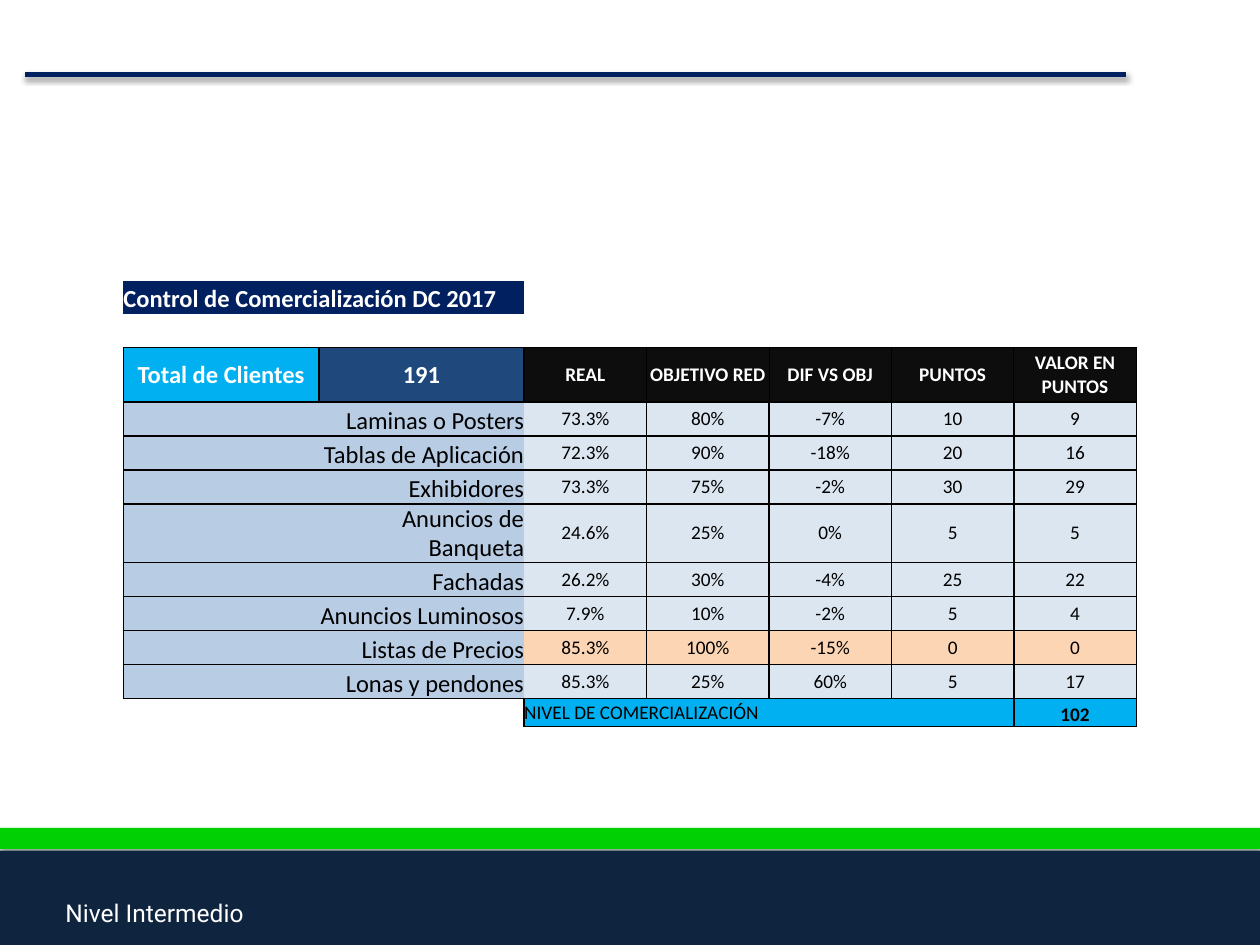
"""Build the commercialisation control slide."""
import dataclasses
import typing

import lxml.etree
import pptx
import pptx.dml.color
import pptx.enum.shapes
import pptx.enum.text
import pptx.oxml.ns
import pptx.util

ALIGN = pptx.enum.text.PP_ALIGN
ANCHOR = pptx.enum.text.MSO_ANCHOR
NO_STYLE = "{2D5ABB26-0587-4C30-8999-92F81FD0307C}"
GRID_COLUMNS, GRID_ROWS = 100, 75


@dataclasses.dataclass(frozen=True)
class Theme:
    """Colours, fonts and type sizes."""
    white: str = "FFFFFF"
    black: str = "000000"
    green: str = "01D004"
    footer: str = "0F243E"
    navy: str = "002060"
    cyan: str = "00B0F0"
    blue: str = "1F497D"
    heading: str = "0D0D0D"
    label: str = "B8CCE4"
    value: str = "DCE6F1"
    highlight: str = "FCD5B4"
    table_font: str = "Calibri"
    footer_font: str = "Roboto"
    large: int = 14
    small: int = 11


THEME = Theme()


@dataclasses.dataclass(frozen=True)
class Measure:
    """One commercialisation measure and its figures."""
    name: str
    figures: tuple[str, ...]
    fill: str = THEME.value


HEADINGS = ("REAL", "OBJETIVO RED", "DIF VS OBJ", "PUNTOS", "VALOR EN PUNTOS")
MEASURES = (
    Measure("Laminas o Posters", ("73.3%", "80%", "-7%", "10", "9")),
    Measure("Tablas de Aplicación", ("72.3%", "90%", "-18%", "20", "16")),
    Measure("Exhibidores", ("73.3%", "75%", "-2%", "30", "29")),
    Measure("Anuncios de Banqueta", ("24.6%", "25%", "0%", "5", "5")),
    Measure("Fachadas", ("26.2%", "30%", "-4%", "25", "22")),
    Measure("Anuncios Luminosos", ("7.9%", "10%", "-2%", "5", "4")),
    Measure("Listas de Precios", ("85.3%", "100%", "-15%", "0", "0"), THEME.highlight),
    Measure("Lonas y pendones", ("85.3%", "25%", "60%", "5", "17")),
)
COLUMN_WIDTHS = (15.5, 16.3) + (9.72,) * len(HEADINGS)
ROW_HEIGHTS = (2.6, 2.7, 4.3) + (2.7,) * len(MEASURES) + (2.2,)


def units(count: float) -> int:
    """Turn grid units into a length."""
    return pptx.util.Inches(count / 10)


def colour(code: str) -> pptx.dml.color.RGBColor:
    """Turn a hex code into a colour."""
    return pptx.dml.color.RGBColor.from_string(code)


def add_node(parent: typing.Any, tag: str, **attributes: typing.Any) -> typing.Any:
    """Append a drawing element."""
    values = {key: str(value) for key, value in attributes.items()}
    return lxml.etree.SubElement(parent, pptx.oxml.ns.qn(tag), values)


def add_shadow(shape: typing.Any) -> None:
    """Give a shape a soft shadow below it."""
    properties = shape._element.spPr
    for old in properties.findall(pptx.oxml.ns.qn("a:effectLst")):
        properties.remove(old)
    effects = add_node(properties, "a:effectLst")
    shadow = add_node(effects, "a:outerShdw", blurRad=pptx.util.Pt(3.1),
                      dist=pptx.util.Pt(1.8), dir=5400000, rotWithShape=0)
    add_node(add_node(shadow, "a:srgbClr", val=THEME.black), "a:alpha", val=35000)


def write(frame: typing.Any, text: str, *, size: int, tint: str, font: str = THEME.table_font,
          bold: bool = False, align: typing.Any = ALIGN.LEFT) -> None:
    """Write one formatted paragraph, or size an empty one."""
    para = frame.paragraphs[0]
    para.alignment = align
    if not text:
        add_node(para._p, "a:endParaRPr", sz=size * 100)
        return
    span = para.add_run()
    span.text = text
    span.font.size = pptx.util.Pt(size)
    span.font.name = font
    span.font.bold = bold
    span.font.color.rgb = colour(tint)


def add_borders(cell: typing.Any, sides: str, thin: str) -> None:
    """Draw the named sides of a cell, some of them thin."""
    properties = cell._tc.get_or_add_tcPr()
    for position, side in enumerate("LRTB"):
        width = pptx.util.Pt(0.5 if side in thin else 1)
        line = add_node(properties, f"a:ln{side}", w=width if side in sides else 0)
        if side in sides:
            add_node(add_node(line, "a:solidFill"), "a:srgbClr", val=THEME.black)
        else:
            add_node(line, "a:noFill")
        properties.insert(position, line)


def fill_cell(cell: typing.Any, text: str = "", *, fill: str = THEME.white, sides: str = "LRTB",
              thin: str = "", size: int = THEME.small, tint: str = THEME.black,
              bold: bool = False, align: typing.Any = ALIGN.CENTER,
              anchor: typing.Any = ANCHOR.MIDDLE) -> None:
    """Format and fill one table cell."""
    cell.margin_left = cell.margin_right = cell.margin_top = cell.margin_bottom = 0
    cell.vertical_anchor = anchor
    cell.fill.solid()
    cell.fill.fore_color.rgb = colour(fill)
    add_borders(cell, sides, thin)
    write(cell.text_frame, text, size=size, tint=tint, bold=bold, align=align)


def add_bar(page: typing.Any, top: float, height: float, fill: str) -> None:
    """Add a full-width band."""
    bar = page.shapes.add_shape(pptx.enum.shapes.MSO_SHAPE.RECTANGLE, 0, units(top),
                                units(GRID_COLUMNS), units(height))
    bar.fill.solid()
    bar.fill.fore_color.rgb = colour(fill)
    bar.line.fill.background()
    add_shadow(bar)


def add_frame(page: typing.Any) -> None:
    """Add the bands, the footer text and the top rule."""
    add_bar(page, 65.7, 1.7, THEME.green)
    add_bar(page, 67.5, 7.5, THEME.footer)
    box = page.shapes.add_textbox(units(4.2), units(70.8), units(95.8), units(3.4))
    box.text_frame.word_wrap = True
    write(box.text_frame, "Nivel Intermedio", size=THEME.large, tint=THEME.white,
          font=THEME.footer_font)
    rule = page.shapes.add_connector(pptx.enum.shapes.MSO_CONNECTOR.STRAIGHT,
                                     units(2), units(5.9), units(89.4), units(5.9))
    rule.line.color.rgb = colour(THEME.navy)
    rule.line.width = pptx.util.Pt(3)
    add_shadow(rule)


def add_control_table(page: typing.Any) -> None:
    """Add the table of measures with its title and total."""
    graphic = page.shapes.add_table(len(ROW_HEIGHTS), len(COLUMN_WIDTHS), units(9.8), units(22.3),
                                    units(sum(COLUMN_WIDTHS)), units(sum(ROW_HEIGHTS)))
    table = graphic.table
    table.first_row = table.horz_banding = False
    table._tbl.tblPr.find(pptx.oxml.ns.qn("a:tableStyleId")).text = NO_STYLE
    for column, width in zip(table.columns, COLUMN_WIDTHS):
        column.width = units(width)
    for row, height in zip(table.rows, ROW_HEIGHTS):
        row.height = units(height)

    last_row, last_column = len(ROW_HEIGHTS) - 1, len(COLUMN_WIDTHS) - 1
    table.cell(0, 0).merge(table.cell(0, 1))
    table.cell(last_row, 2).merge(table.cell(last_row, last_column - 1))
    white_bold = {"tint": THEME.white, "bold": True}

    fill_cell(table.cell(0, 0), "Control de Comercialización DC 2017", fill=THEME.navy, sides="",
              size=THEME.large, align=ALIGN.LEFT, anchor=ANCHOR.BOTTOM, **white_bold)
    for column in range(2, last_column + 1):
        fill_cell(table.cell(0, column), sides="")
    for column in range(last_column + 1):
        fill_cell(table.cell(1, column), sides="B")

    fill_cell(table.cell(2, 0), "Total de Clientes", fill=THEME.cyan, size=THEME.large, **white_bold)
    fill_cell(table.cell(2, 1), "191", fill=THEME.blue, size=THEME.large, **white_bold)
    for column, heading in enumerate(HEADINGS, 2):
        thin = "R" if column == 2 else "L" if column == last_column else "LR"
        fill_cell(table.cell(2, column), heading, fill=THEME.heading, thin=thin, **white_bold)

    for row, measure in enumerate(MEASURES, 3):
        fill_cell(table.cell(row, 0), fill=THEME.label, sides="LTB")
        fill_cell(table.cell(row, 1), measure.name, fill=THEME.label, sides="TB",
                  size=THEME.large, align=ALIGN.RIGHT, anchor=ANCHOR.BOTTOM)
        for column, figure in enumerate(measure.figures, 2):
            fill_cell(table.cell(row, column), figure, fill=measure.fill,
                      sides="RTB" if column == 2 else "LRTB")

    fill_cell(table.cell(last_row, 0), sides="T")
    fill_cell(table.cell(last_row, 1), sides="TR")
    fill_cell(table.cell(last_row, 2), "NIVEL DE COMERCIALIZACIÓN", fill=THEME.cyan,
              align=ALIGN.LEFT)
    fill_cell(table.cell(last_row, last_column), "102", fill=THEME.cyan, bold=True,
              anchor=ANCHOR.BOTTOM)


def main() -> None:
    """Build and save the deck."""
    deck = pptx.Presentation()
    deck.slide_width, deck.slide_height = units(GRID_COLUMNS), units(GRID_ROWS)
    page = deck.slides.add_slide(deck.slide_layouts[6])
    add_frame(page)
    add_control_table(page)
    deck.save("out.pptx")


if __name__ == "__main__":
    main()
